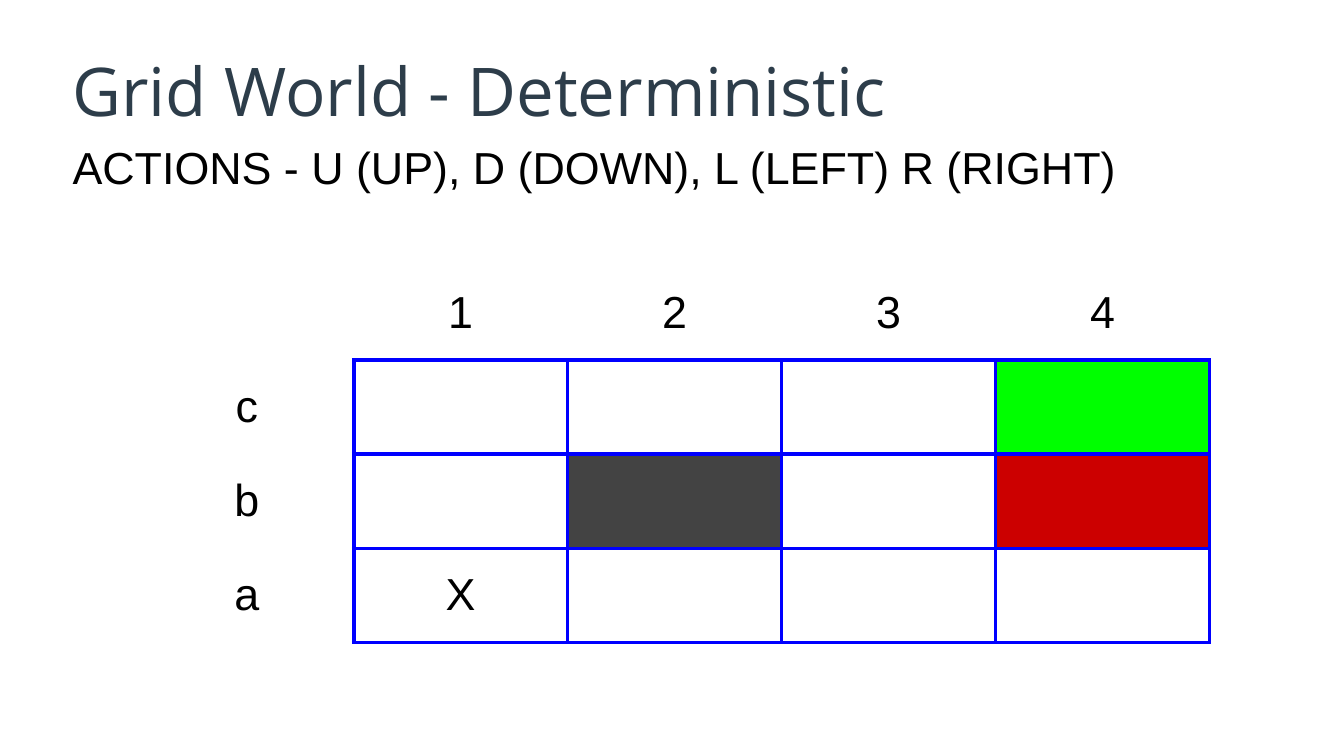
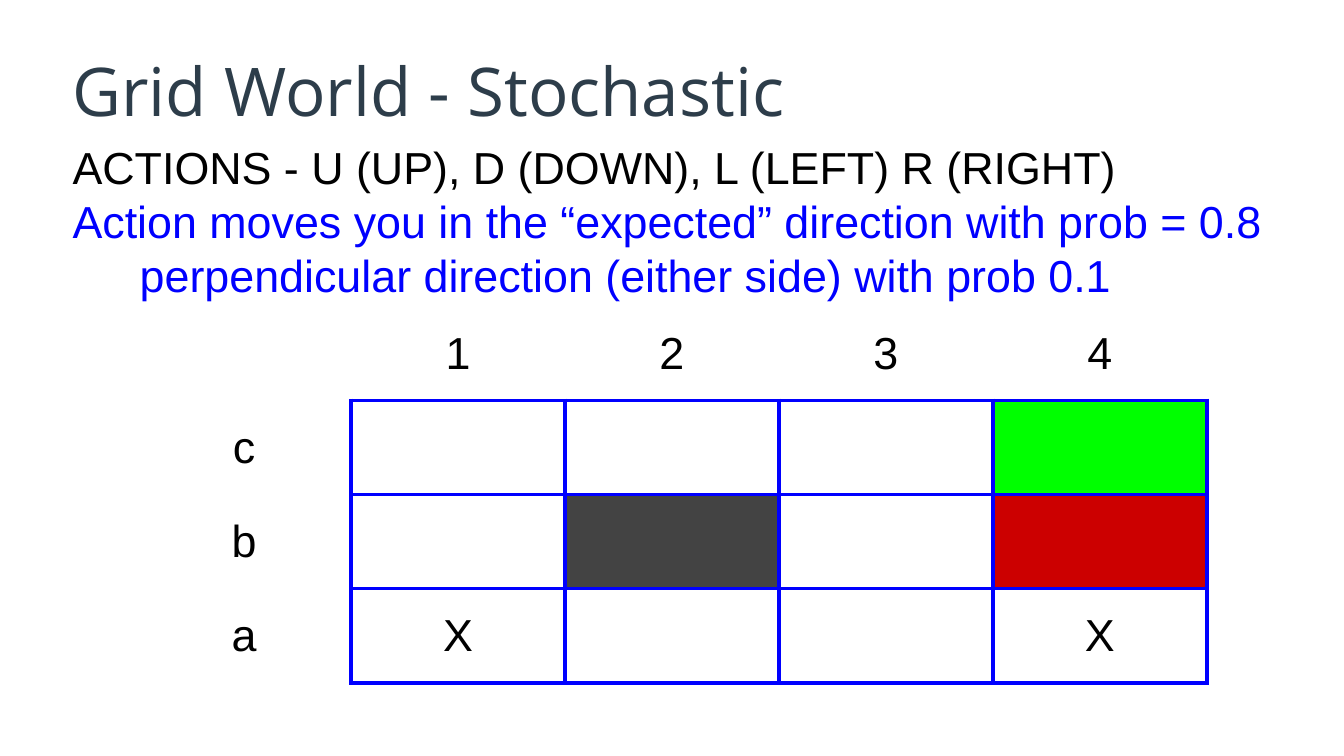
from lxml import etree
from pptx import Presentation
from pptx.dml.color import RGBColor
from pptx.enum import text
from pptx.oxml import ns
from pptx.util import Inches, Pt

TITLE_COLOR = RGBColor(0x2D, 0x3D, 0x4A)
BLACK = RGBColor(0x00, 0x00, 0x00)
BLUE = RGBColor(0x00, 0x00, 0xFF)
GOAL = RGBColor(0x00, 0xFF, 0x00)
WALL = RGBColor(0x43, 0x43, 0x43)
PIT = RGBColor(0xCC, 0x00, 0x00)

COLUMNS = "1234"
ROWS = "cba"
CELL_WIDTH = Inches(7.96) // 5
CELL_HEIGHT = Inches(0.7)
GRID_LINE = Pt(2.25)
STATE_FILLS = {"c4": GOAL, "b2": WALL, "b4": PIT}

ACTIONS = "ACTIONS - U (UP), D (DOWN), L (LEFT) R (RIGHT)"


def add_run(paragraph, content, size=24, font="Arial", color=BLACK):
    run = paragraph.add_run()
    run.text = content
    run.font.size = Pt(size)
    run.font.name = font
    run.font.color.rgb = color


def add_text_frame(slide, top, height):
    box = slide.shapes.add_textbox(Inches(0.5), Inches(top), Inches(9), Inches(height))
    frame = box.text_frame
    frame.word_wrap = True
    frame.vertical_anchor = text.MSO_ANCHOR.TOP
    frame.margin_left = frame.margin_right = Inches(0.04)
    frame.margin_top = frame.margin_bottom = Inches(0.04)
    return frame


def add_title(slide, title):
    heading = add_text_frame(slide, 0.33, 0.65).paragraphs[0]
    add_run(heading, title, 36, "Open Sans", TITLE_COLOR)


def add_rules(slide, height, rules):
    """Write one paragraph per (wording, colour, first-line indent in inches)."""
    frame = add_text_frame(slide, 1, height)
    for index, (wording, color, indent) in enumerate(rules):
        rule = frame.add_paragraph() if index else frame.paragraphs[0]
        if indent:
            properties = rule._p.get_or_add_pPr()
            properties.set("marL", "0")
            properties.set("indent", str(Inches(indent)))
        add_run(rule, wording, color=color)


def set_borders(cell, row, column):
    """Rule the states in blue and leave the header cells open."""
    edges = {
        "lnL": row and column,
        "lnR": row,
        "lnT": row and column,
        "lnB": column,
    }
    properties = cell._tc.get_or_add_tcPr()
    for tag, ruled in edges.items():
        edge = etree.SubElement(properties, ns.qn(f"a:{tag}"), w=str(GRID_LINE))
        if ruled:
            fill = etree.SubElement(edge, ns.qn("a:solidFill"))
            etree.SubElement(fill, ns.qn("a:srgbClr"), val=str(BLUE))
        else:
            etree.SubElement(edge, ns.qn("a:noFill"))


def fill_cell(cell, label, color):
    if color:
        cell.fill.solid()
        cell.fill.fore_color.rgb = color
    else:
        cell.fill.background()
    cell.vertical_anchor = text.MSO_ANCHOR.MIDDLE
    cell.margin_left = cell.margin_right = Inches(0.1)
    cell.margin_top = cell.margin_bottom = Inches(0.1)
    if label:
        paragraph = cell.text_frame.paragraphs[0]
        paragraph.alignment = text.PP_ALIGN.CENTER
        add_run(paragraph, label)


def add_grid_world(slide, left, top, marked_states):
    row_names = ["", *ROWS]
    column_names = ["", *COLUMNS]
    grid = slide.shapes.add_table(
        len(row_names), len(column_names), Inches(left), Inches(top),
        CELL_WIDTH * len(column_names), CELL_HEIGHT * len(row_names),
    ).table
    grid.first_row = grid.horz_banding = False
    for column in grid.columns:
        column.width = CELL_WIDTH
    for row in grid.rows:
        row.height = CELL_HEIGHT

    for r, row_name in enumerate(row_names):
        for c, column_name in enumerate(column_names):
            state = row_name + column_name
            if r and c:
                label = "X" if state in marked_states else ""
            else:
                label = state
            cell = grid.cell(r, c)
            set_borders(cell, r, c)
            fill_cell(cell, label, STATE_FILLS.get(state))


def main():
    deck = Presentation()
    deck.slide_width = Inches(10)
    deck.slide_height = deck.slide_width * 9 // 16
    blank = deck.slide_layouts[6]

    deterministic = deck.slides.add_slide(blank)
    add_rules(deterministic, 0.34, [(ACTIONS, BLACK, 0)])
    add_title(deterministic, "Grid World - Deterministic")
    add_grid_world(deterministic, 1.04, 1.98, {"a1"})

    stochastic = deck.slides.add_slide(blank)
    add_rules(stochastic, 1.28, [
        (ACTIONS, BLACK, 0),
        ("Action moves you in the “expected” direction with prob = 0.8", BLUE, 0),
        ("perpendicular direction (either side) with prob 0.1", BLUE, 0.5),
    ])
    add_title(stochastic, "Grid World - Stochastic")
    add_grid_world(stochastic, 1.02, 2.28, {"a1", "a4"})

    deck.save("out.pptx")


if __name__ == "__main__":
    main()
